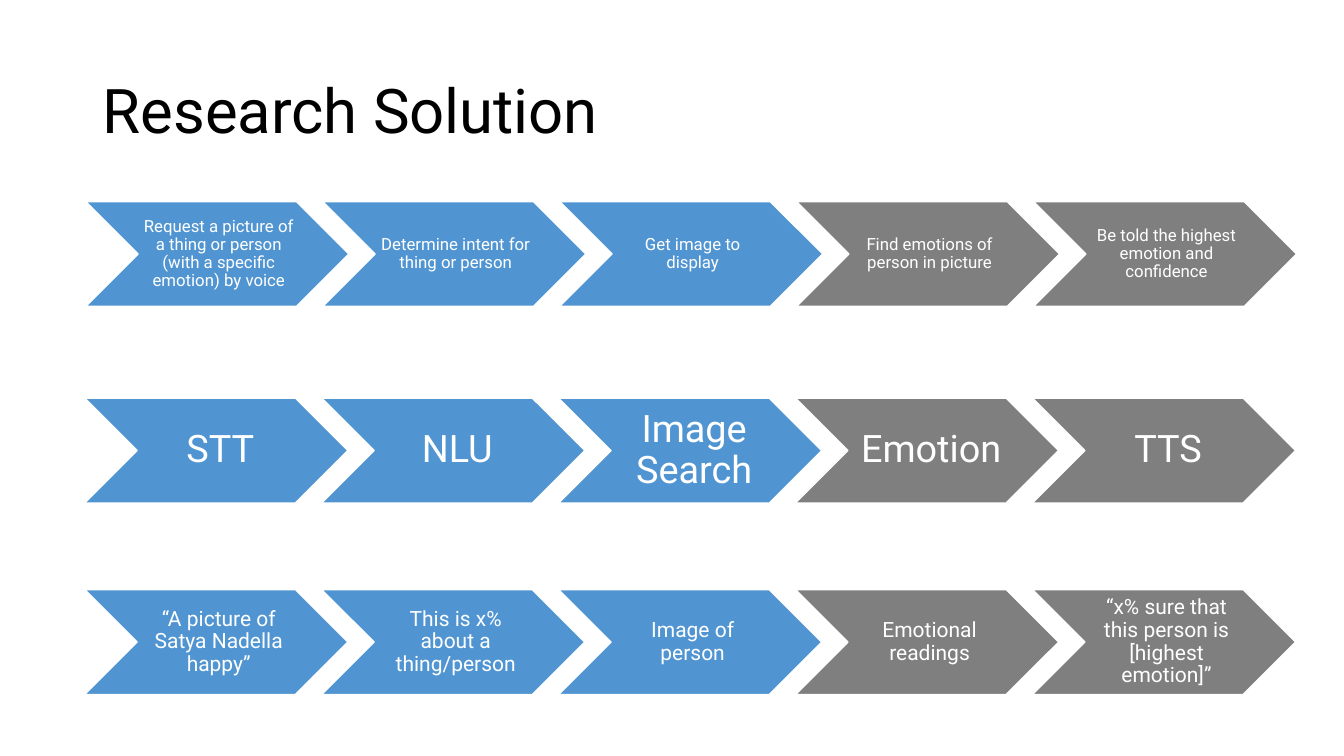
"""Build the Research Solution slide: three rows of process chevrons."""
from pptx import Presentation
from pptx.dml.color import RGBColor
from pptx.enum.shapes import MSO_SHAPE
from pptx.enum.text import MSO_ANCHOR, PP_ALIGN
from pptx.util import Inches, Pt

CHEVRON = MSO_SHAPE.CHEVRON
MIDDLE = MSO_ANCHOR.MIDDLE
LEFT, CENTER = PP_ALIGN.LEFT, PP_ALIGN.CENTER

TITLE = "Research Solution"
ROWS = [
    {"left": 0.85, "top": 2.0, "size": 12, "inset": 0.02, "lead": 0.05, "steps": [
        "Request a picture of a thing or person (with a specific emotion) by voice",
        "Determine intent for thing or person",
        "Get image to display",
        "Find emotions of person in picture",
        "Be told the highest emotion and confidence",
    ]},
    {"left": 0.84, "top": 3.95, "size": 27, "inset": 0.04, "lead": 0.12, "steps": [
        "STT", "NLU", "Image Search", "Emotion", "TTS",
    ]},
    {"left": 0.84, "top": 5.85, "size": 15, "inset": 0.02, "lead": 0.07, "steps": [
        "“A picture of Satya Nadella happy”",
        "This is x% about a thing/person",
        "Image of person",
        "Emotional readings",
        "“x% sure that this person is [highest emotion]”",
    ]},
]
BLUE_STEPS = 3
STEP_W, STEP_H, PITCH = 2.61, 1.04, 2.35

THEME = {
    "font": "Roboto",
    "title_size": 44,
    "ink": RGBColor(0x00, 0x00, 0x00),
    "white": RGBColor(0xFF, 0xFF, 0xFF),
    "blue": RGBColor(0x50, 0x95, 0xD1),
    "gray": RGBColor(0x7F, 0x7F, 0x7F),
}


def apply(target, values):
    for name, value in values.items():
        setattr(target, name, value)


def write(tf, text, size, color, align):
    apply(tf, {"word_wrap": True, "vertical_anchor": MIDDLE})
    p = tf.paragraphs[0]
    apply(p, {"alignment": align, "line_spacing": 0.9})
    r = p.add_run()
    r.text = text
    apply(r.font, {"name": THEME["font"], "size": Pt(size)})
    r.font.color.rgb = color


def add_step(s, row, index, text):
    sp = s.shapes.add_shape(CHEVRON, Inches(row["left"] + index * PITCH),
                            Inches(row["top"]), Inches(STEP_W), Inches(STEP_H))
    sp.shadow.inherit = False
    sp.fill.solid()
    sp.fill.fore_color.rgb = THEME["blue" if index < BLUE_STEPS else "gray"]
    sp.line.color.rgb = THEME["white"]
    sp.line.width = Pt(1)
    inset = Inches(row["inset"])
    apply(sp.text_frame, {"margin_left": Inches(row["lead"]), "margin_right": inset,
                          "margin_top": inset, "margin_bottom": inset})
    write(sp.text_frame, text, row["size"], THEME["white"], CENTER)


def main():
    prs = Presentation()
    apply(prs, {"slide_width": Inches(13.33), "slide_height": Inches(7.5)})
    s = prs.slides.add_slide(prs.slide_layouts[5])
    title = s.shapes.title
    apply(title, {"left": Inches(0.92), "top": Inches(0.4),
                  "width": Inches(11.5), "height": Inches(1.45)})
    write(title.text_frame, TITLE, THEME["title_size"], THEME["ink"], LEFT)
    for row in ROWS:
        for index, text in enumerate(row["steps"]):
            add_step(s, row, index, text)
    prs.save("out.pptx")


if __name__ == "__main__":
    main()
